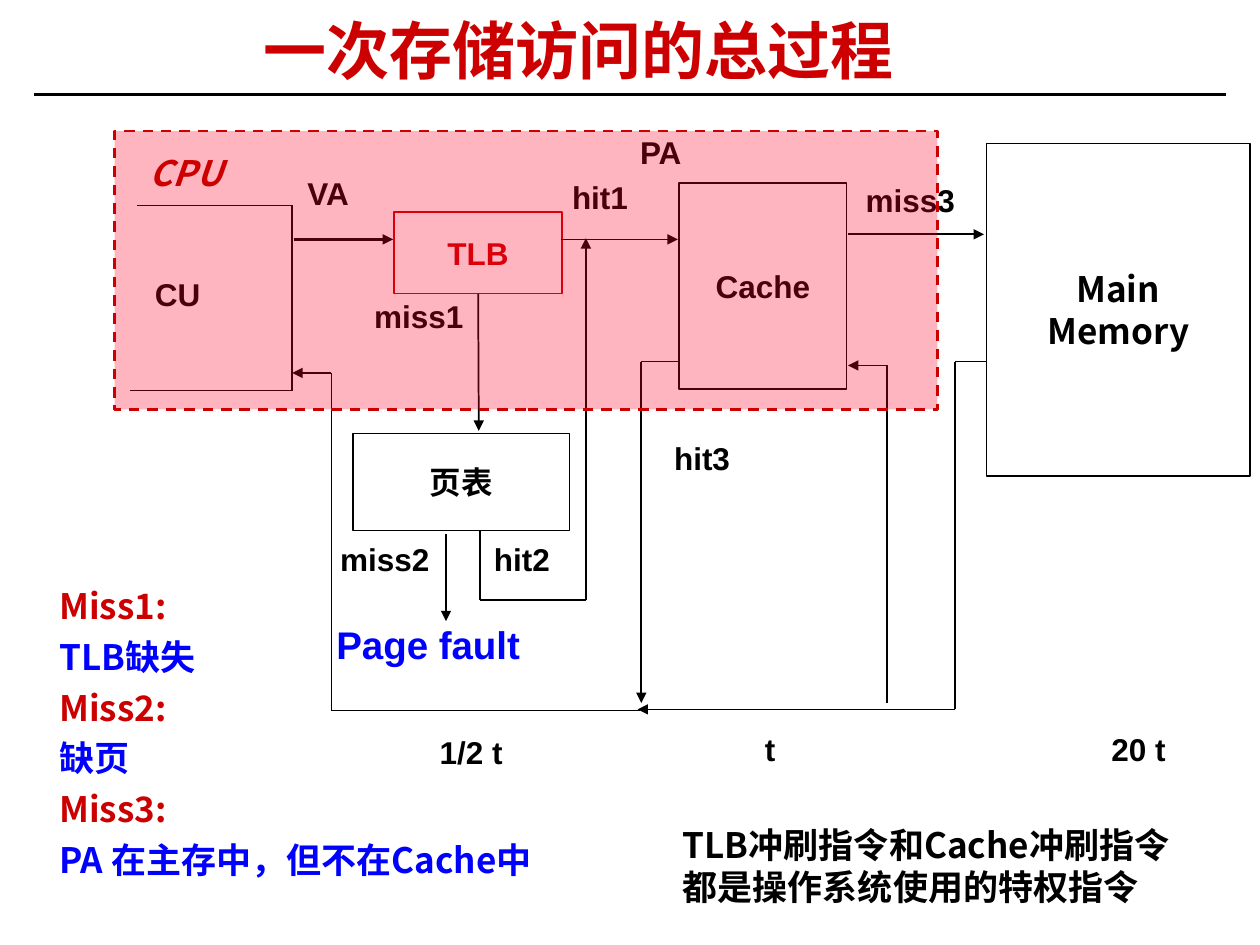
from itertools import pairwise

from lxml import etree
from pptx import Presentation
from pptx.dml.color import RGBColor
from pptx.enum.dml import MSO_LINE
from pptx.enum.shapes import MSO_CONNECTOR, MSO_SHAPE
from pptx.enum.text import MSO_ANCHOR, MSO_AUTO_SIZE, PP_ALIGN
from pptx.oxml.ns import qn
from pptx.util import Inches, Pt

STRAIGHT = MSO_CONNECTOR.STRAIGHT
RECTANGLE = MSO_SHAPE.RECTANGLE
DASH = MSO_LINE.DASH
TOP, MIDDLE = MSO_ANCHOR.TOP, MSO_ANCHOR.MIDDLE
LEFT, CENTER = PP_ALIGN.LEFT, PP_ALIGN.CENTER
NO_FIT = MSO_AUTO_SIZE.NONE
BOTTOM_SITE = 2

COLORS = {"black": "000000", "red": "CC0000", "blue": "0000FF", "chip": "FC0128"}
LATIN, CJK = "Arial", "Noto Sans CJK SC"
TIGHT = (0.07, 0.03)
NONE = (0, 0)
NORMAL = (0.1, 0.05)


def color(name):
    return RGBColor.from_string(COLORS[name])


class Diagram:
    def __init__(self, slide):
        self.slide = slide
        self.shapes = slide.shapes

    def set_text(self, frame, lines, size=18, font=LATIN, ink="black", italic=False,
                 align=LEFT, anchor=TOP, margins=TIGHT, wrap=True, spacing=None, before=0):
        """Fill a text frame; a line is a string or a (string, colour) pair."""
        side, edge = (Inches(m) for m in margins)
        frame_format = {
            "margin_left": side, "margin_right": side, "margin_top": edge,
            "margin_bottom": edge, "word_wrap": wrap, "auto_size": NO_FIT,
            "vertical_anchor": anchor,
        }
        for name, value in frame_format.items():
            setattr(frame, name, value)
        for index, line in enumerate(lines):
            words, shade = (line, ink) if isinstance(line, str) else line
            paragraph = frame.paragraphs[0] if index == 0 else frame.add_paragraph()
            paragraph.alignment = align
            paragraph.space_before = Pt(before if index else 0)
            if spacing:
                paragraph.line_spacing = spacing
            run = paragraph.add_run()
            run.text = words
            font_format = {"size": Pt(size), "name": font, "bold": True, "italic": italic}
            for name, value in font_format.items():
                setattr(run.font, name, value)
            run.font.color.rgb = color(shade)
            east_asian = etree.Element(qn("a:ea"), typeface=CJK)
            run.font._element.find(qn("a:latin")).addnext(east_asian)

    def title(self, words, left, top, width, height):
        holder = self.shapes.title
        place = {"left": left, "top": top, "width": width, "height": height}
        for name, value in place.items():
            setattr(holder, name, Inches(value))
        self.set_text(holder.text_frame, [words], size=36, ink="red", align=CENTER, spacing=0.87)

    def text(self, lines, left, top, width, height, **style):
        box = self.shapes.add_textbox(*map(Inches, (left, top, width, height)))
        self.set_text(box.text_frame, lines, **style)

    def label(self, words, left, top, width):
        self.text([words], left, top, width, 0.31, wrap=False, spacing=0.85)

    def block(self, lines, left, top, width, height, ink="black", **style):
        rect = self.shapes.add_shape(RECTANGLE, *map(Inches, (left, top, width, height)))
        rect.shadow.inherit = False
        rect.fill.background()
        rect.line.color.rgb = color(ink)
        rect.line.width = Pt(1)
        self.set_text(rect.text_frame, lines, ink=ink, align=CENTER, anchor=MIDDLE,
                      margins=NORMAL, wrap=False, **style)
        return rect

    def chip_area(self, left, top, width, height):
        """Dashed, see-through area laid over the parts inside the CPU."""
        area = self.shapes.add_shape(RECTANGLE, *map(Inches, (left, top, width, height)))
        area.shadow.inherit = False
        area.fill.solid()
        area.fill.fore_color.rgb = color("chip")
        fill = area._element.spPr.find(qn("a:solidFill"))
        etree.SubElement(fill[0], qn("a:alpha"), val="29000")
        area.line.color.rgb = color("red")
        area.line.width = Pt(1.5)
        area.line.dash_style = DASH

    def route(self, *points, arrow=True, width=1, source=None):
        """Join points with straight lines; the arrowhead sits on the last one."""
        for start, end in pairwise(points):
            line = self.shapes.add_connector(STRAIGHT, *map(Inches, (*start, *end)))
            line.line.color.rgb = color("black")
            line.line.width = Pt(width)
            if source is not None and start == points[0]:
                line.begin_connect(source, BOTTOM_SITE)
            if arrow and end == points[-1]:
                outline = line._element.spPr.find(qn("a:ln"))
                etree.SubElement(outline, qn("a:tailEnd"), type="triangle")
            etree.SubElement(line._element.spPr, qn("a:effectLst"))


def main():
    deck = Presentation()
    deck.slide_width, deck.slide_height = Inches(10), Inches(7.5)
    diagram = Diagram(deck.slides.add_slide(deck.slide_layouts[5]))

    diagram.title("一次存储访问的总过程", 1.99, 0.14, 5.21, 0.58)
    diagram.route((0.27, 0.75), (9.73, 0.75), arrow=False, width=1.5)

    # Units
    diagram.route((1.09, 1.63), (2.32, 1.63), (2.32, 3.1), (1.03, 3.1), arrow=False)
    tlb = diagram.block(["TLB"], 3.13, 1.68, 1.33, 0.65, ink="red")
    diagram.block(["Cache"], 5.39, 1.45, 1.33, 1.64)
    diagram.block(["Main", "Memory"], 7.83, 1.14, 2.09, 2.64,
                  size=20, font=CJK, spacing=Pt(24))
    diagram.block(["页表"], 2.8, 3.44, 1.72, 0.77, font=CJK)

    # Address path
    diagram.route((2.33, 1.9), (3.12, 1.9), width=1.5)
    diagram.route((4.45, 1.9), (5.38, 1.9))
    diagram.route((6.73, 1.86), (7.81, 1.86))
    diagram.route((3.8, 2.33), (3.8, 3.42), source=tlb)
    diagram.route((3.54, 4.24), (3.54, 4.93))
    diagram.route((3.81, 4.21), (3.81, 4.76), (4.65, 4.76), (4.65, 1.89))

    # Data path
    diagram.route((7.83, 2.87), (7.58, 2.87), (7.58, 5.63), (5.06, 5.63))
    diagram.route((7.04, 5.58), (7.04, 2.9), (6.73, 2.9))
    diagram.route((5.39, 2.87), (5.09, 2.87), (5.09, 5.58))
    diagram.route((5.08, 5.64), (2.63, 5.64), (2.63, 2.96), (2.32, 2.96))

    labels = [
        ("CU", 1.16, 2.2, 0.5), ("VA", 2.37, 1.4, 0.49), ("PA", 5.01, 1.07, 0.49),
        ("hit1", 4.47, 1.43, 0.58), ("hit2", 3.85, 4.3, 0.58), ("hit3", 5.28, 3.5, 0.58),
        ("miss1", 2.9, 2.37, 0.85), ("miss2", 2.63, 4.3, 0.85), ("miss3", 6.8, 1.45, 0.85),
        ("1/2 t", 3.42, 5.83, 0.64), ("t", 6, 5.81, 0.22), ("20 t", 8.75, 5.81, 0.57),
    ]
    for label in labels:
        diagram.label(*label)
    diagram.text(["Page fault"], 2.67, 4.93, 1.5, 0.37, size=22, ink="blue", margins=NONE)

    diagram.chip_area(0.91, 1.04, 6.53, 2.21)
    note = {"size": 20, "font": CJK, "spacing": Pt(24)}
    diagram.text(["CPU"], 1.19, 1.2, 0.91, 0.33, ink="red", italic=True, margins=NONE, **note)

    meanings = {"Miss1:": "TLB缺失", "Miss2:": "缺页", "Miss3:": "PA 在主存中，但不在Cache中"}
    glossary = [line for term, meaning in meanings.items()
                for line in ((term, "red"), (meaning, "blue"))]
    diagram.text(glossary, 0.47, 4.64, 4.28, 2.35, margins=NONE, before=5, **note)
    diagram.text(["TLB冲刷指令和Cache冲刷指令都是操作系统使用的特权指令"],
                 5.32, 6.49, 4.29, 0.77, margins=NORMAL, **note)

    deck.save("out.pptx")


if __name__ == "__main__":
    main()
